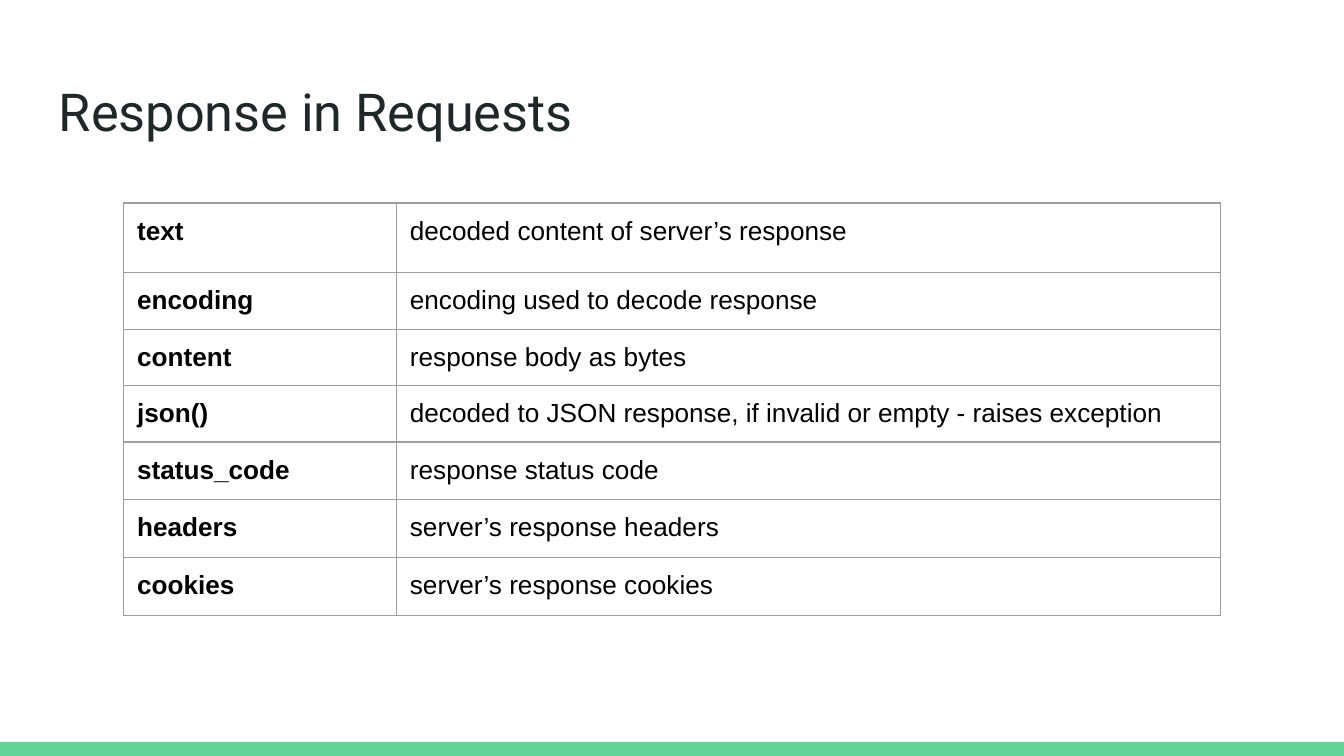
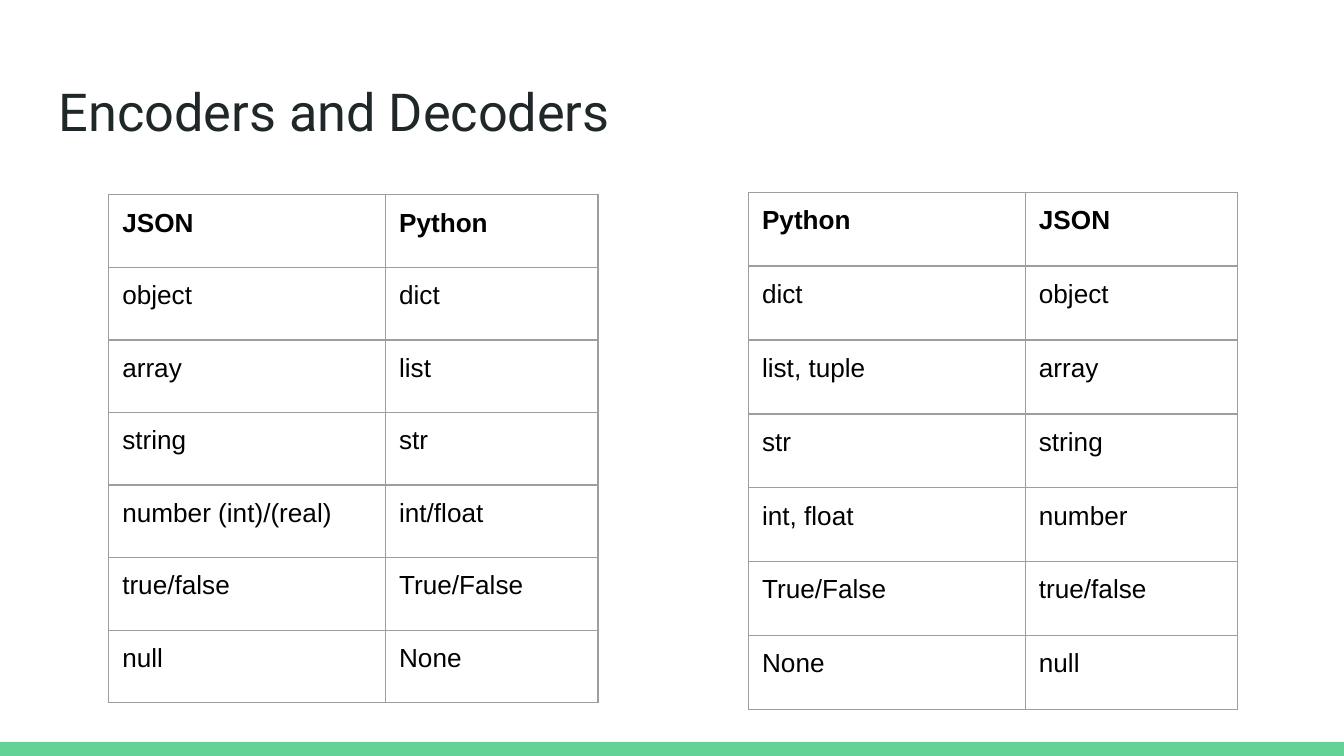
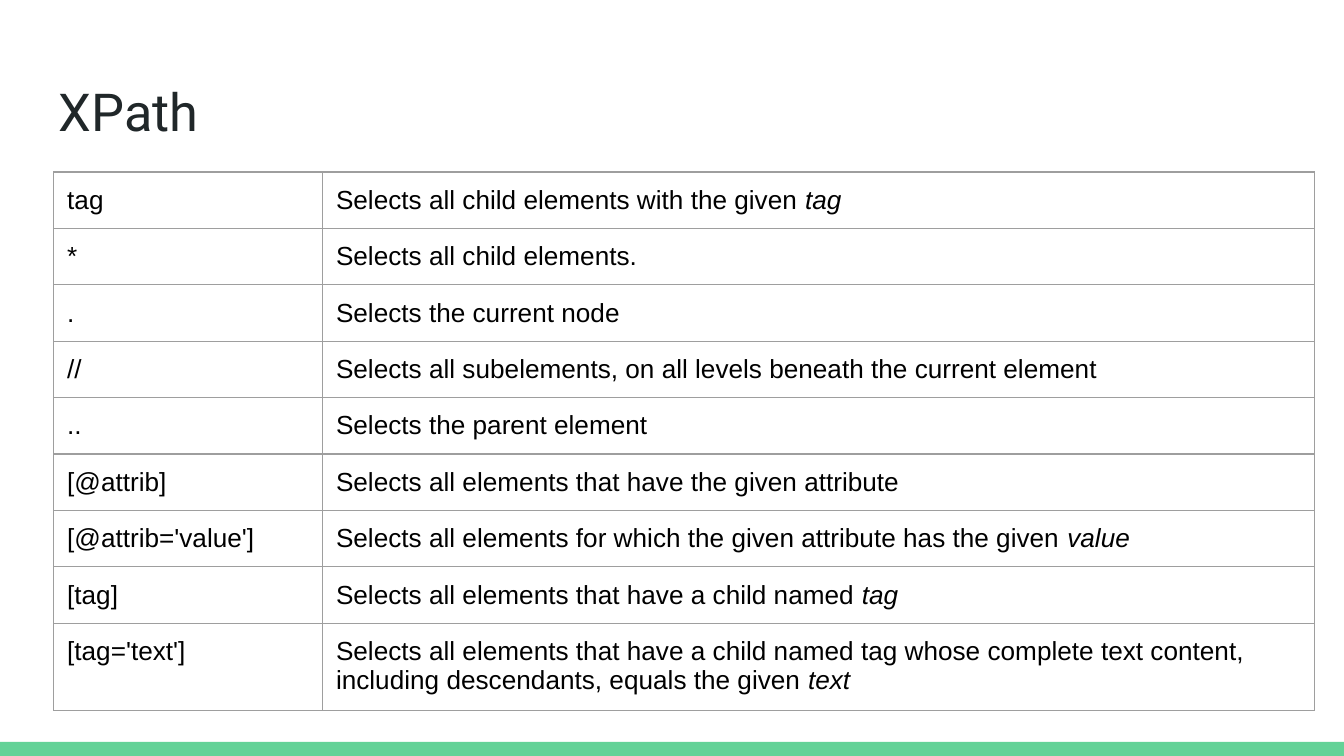
from pptx import Presentation
from pptx.dml.color import RGBColor
from pptx.enum.shapes import MSO_SHAPE
from pptx.enum.text import MSO_ANCHOR
from pptx.oxml import parse_xml
from pptx.oxml.ns import nsdecls
from pptx.util import Inches, Pt

RECTANGLE = MSO_SHAPE.RECTANGLE
TOP = MSO_ANCHOR.TOP

COLORS = {"band": "63D297", "title": "202729", "text": "000000",
          "border": "9E9E9E", "background": "FFFFFF"}
SLIDE_WIDTH = 10
SLIDE_HEIGHT = SLIDE_WIDTH * 9 / 16
BAND_TOP = 5.52
TITLE_BOX = (0.34, 0.49, 9.32, 0.63)
INSET = 0.1
CELL_BOTTOM_INSET = 0.08
BORDER_WIDTH = 0.75
BLANK_LAYOUT = 6

RESPONSE_ROWS = [
    ("text", "decoded content of server’s response"),
    ("encoding", "encoding used to decode response"),
    ("content", "response body as bytes"),
    ("json()", "decoded to JSON response, if invalid or empty - raises exception"),
    ("status_code", "response status code"),
    ("headers", "server’s response headers"),
    ("cookies", "server’s response cookies"),
]
DECODER_ROWS = [
    ("JSON", "Python"),
    ("object", "dict"),
    ("array", "list"),
    ("string", "str"),
    ("number (int)/(real)", "int/float"),
    ("true/false", "True/False"),
    ("null", "None"),
]
ENCODER_ROWS = [
    ("Python", "JSON"),
    ("dict", "object"),
    ("list, tuple", "array"),
    ("str", "string"),
    ("int, float", "number"),
    ("True/False", "true/false"),
    ("None", "null"),
]
# A pair in a cell is plain text followed by an italic ending
XPATH_ROWS = [
    ("tag", ("Selects all child elements with the given ", "tag")),
    ("*", "Selects all child elements."),
    (".", "Selects the current node"),
    ("//", "Selects all subelements, on all levels beneath the current element"),
    ("..", "Selects the parent element"),
    ("[@attrib]", "Selects all elements that have the given attribute"),
    ("[@attrib='value']",
     ("Selects all elements for which the given attribute has the given ", "value")),
    ("[tag]", ("Selects all elements that have a child named ", "tag")),
    ("[tag='text']",
     ("Selects all elements that have a child named tag whose complete text content, "
      "including descendants, equals the given ", "text")),
]


def add_text(paragraph, text, *, font="Arial", size=14, color="text",
             bold=False, italic=False):
    run = paragraph.add_run()
    run.text = text
    run.font.name = font
    run.font.size = Pt(size)
    run.font.bold = bold
    run.font.italic = italic
    run.font.color.rgb = RGBColor.from_string(COLORS[color])


def set_insets(target, bottom=INSET):
    """Set the margins of a text frame or a table cell."""
    target.margin_left = target.margin_right = target.margin_top = Inches(INSET)
    target.margin_bottom = Inches(bottom)
    target.vertical_anchor = TOP


def add_borders(cell):
    properties = cell._tc.get_or_add_tcPr()
    for side in ("lnL", "lnR", "lnT", "lnB"):
        properties.append(parse_xml(
            f'<a:{side} {nsdecls("a")} w="{Pt(BORDER_WIDTH)}"><a:solidFill>'
            f'<a:srgbClr val="{COLORS["border"]}"/></a:solidFill></a:{side}>'))


def add_grid(slide, left, top, column_widths, row_heights, rows,
             bold_row=None, bold_column=None):
    """Draw a bordered table, with one row or column in bold."""
    frame = slide.shapes.add_table(
        len(rows), len(column_widths), Inches(left), Inches(top),
        Inches(sum(column_widths)), Inches(sum(row_heights)))
    table = frame.table
    table.first_row = table.horz_banding = False
    for column, width in zip(table.columns, column_widths):
        column.width = Inches(width)
    for row, height in zip(table.rows, row_heights):
        row.height = Inches(height)

    for row_index, row in enumerate(rows):
        for column_index, content in enumerate(row):
            cell = table.cell(row_index, column_index)
            set_insets(cell, bottom=CELL_BOTTOM_INSET)
            add_borders(cell)
            cell.fill.background()
            bold = row_index == bold_row or column_index == bold_column
            pieces = (content,) if isinstance(content, str) else content
            for piece_index, piece in enumerate(pieces):
                add_text(cell.text_frame.paragraphs[0], piece,
                         bold=bold, italic=piece_index > 0)


def add_titled_slide(presentation, title):
    """Add a slide with the shared background, bottom band and title."""
    slide = presentation.slides.add_slide(presentation.slide_layouts[BLANK_LAYOUT])
    slide.background.fill.solid()
    slide.background.fill.fore_color.rgb = RGBColor.from_string(COLORS["background"])

    # Bottom band
    band = slide.shapes.add_shape(
        RECTANGLE, 0, Inches(BAND_TOP), Inches(SLIDE_WIDTH),
        Inches(SLIDE_HEIGHT - BAND_TOP))
    band.shadow.inherit = False
    band.fill.solid()
    band.fill.fore_color.rgb = RGBColor.from_string(COLORS["band"])
    band.line.fill.background()

    # Title
    text_frame = slide.shapes.add_textbox(*map(Inches, TITLE_BOX)).text_frame
    text_frame.word_wrap = True
    set_insets(text_frame)
    add_text(text_frame.paragraphs[0], title, font="Roboto", size=28, color="title")
    return slide


def build_response_slide(presentation):
    slide = add_titled_slide(presentation, "Response in Requests")
    add_grid(slide, 0.92, 1.51, (2.03, 6.13), [0.52] + [0.42] * 3 + [0.43] * 3,
             RESPONSE_ROWS, bold_column=0)


def build_conversion_slide(presentation):
    slide = add_titled_slide(presentation, "Encoders and Decoders")
    for left, top, row_height, rows in ((0.81, 1.45, 0.54, DECODER_ROWS),
                                        (5.57, 1.43, 0.55, ENCODER_ROWS)):
        add_grid(slide, left, top, (2.06, 1.58), [row_height] * len(rows),
                 rows, bold_row=0)


def build_xpath_slide(presentation):
    slide = add_titled_slide(presentation, "XPath")
    # The last row holds two lines
    row_heights = [0.42] * (len(XPATH_ROWS) - 1) + [0.63]
    add_grid(slide, 0.4, 1.28, (2, 7.38), row_heights, XPATH_ROWS)


def main():
    presentation = Presentation()
    presentation.slide_width = Inches(SLIDE_WIDTH)
    presentation.slide_height = Inches(SLIDE_HEIGHT)
    build_response_slide(presentation)
    build_conversion_slide(presentation)
    build_xpath_slide(presentation)
    presentation.save("out.pptx")


if __name__ == "__main__":
    main()
